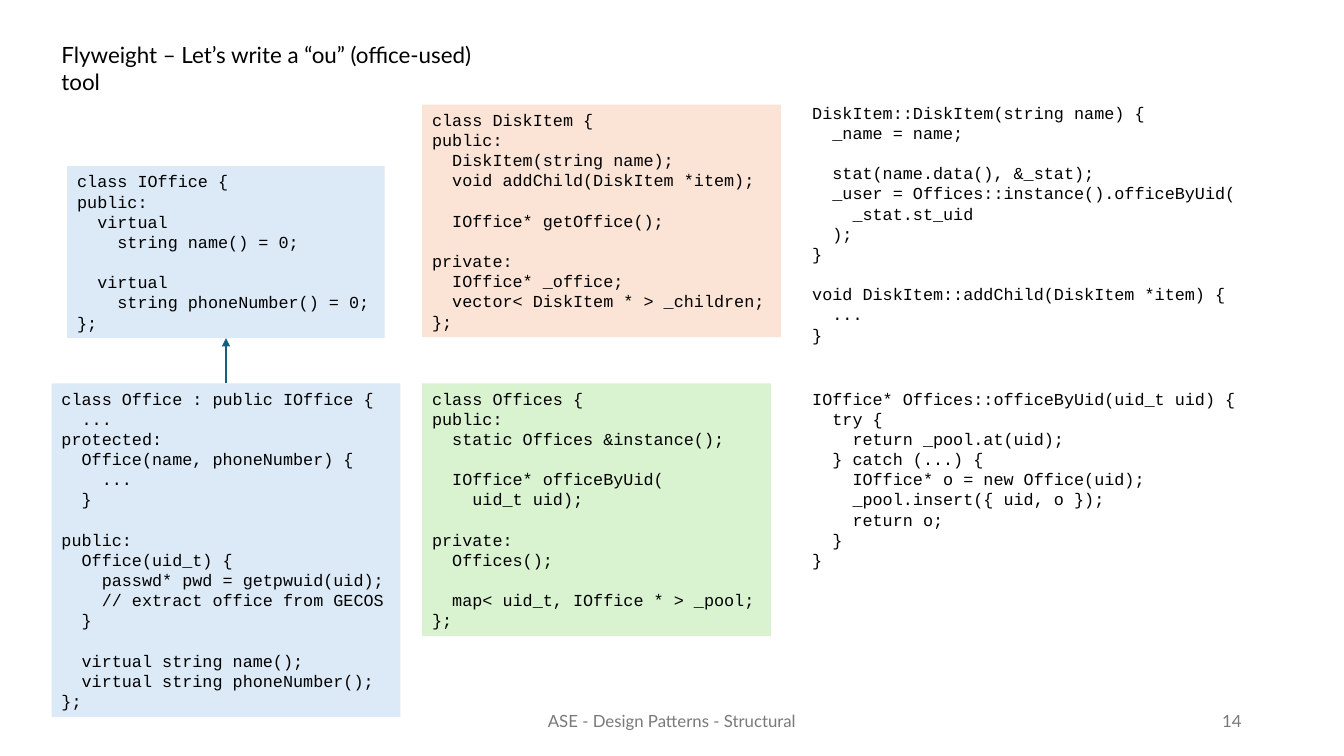
from lxml import etree
from pptx import Presentation
from pptx.dml.color import RGBColor
from pptx.enum import shapes, text
from pptx.oxml import ns
from pptx.util import Cm, Pt

# Content
TITLE = "Flyweight – Let’s write a “ou” (office-used) tool"
FOOTER = "ASE - Design Patterns - Structural"
PAGE_NUMBER = "14"

IOFFICE = """class IOffice {
public:
  virtual
    string name() = 0;

  virtual
    string phoneNumber() = 0;
};"""

OFFICE = """class Office : public IOffice {
  ...
protected:
  Office(name, phoneNumber) {
    ...
  }

public:
  Office(uid_t) {
    passwd* pwd = getpwuid(uid);
    // extract office from GECOS
  }

  virtual string name();
  virtual string phoneNumber();
};"""

DISK_ITEM = """class DiskItem {
public:
  DiskItem(string name);
  void addChild(DiskItem *item);

  IOffice* getOffice();

private:
  IOffice* _office;
  vector< DiskItem * > _children;
};"""

OFFICES = """class Offices {
public:
  static Offices &instance();

  IOffice* officeByUid(
    uid_t uid);

private:
  Offices();

  map< uid_t, IOffice * > _pool;
};"""

DISK_ITEM_METHODS = """DiskItem::DiskItem(string name) {
  _name = name;

  stat(name.data(), &_stat);
  _user = Offices::instance().officeByUid(
    _stat.st_uid
  );
}

void DiskItem::addChild(DiskItem *item) {
  ...
}"""

OFFICES_METHODS = """IOffice* Offices::officeByUid(uid_t uid) {
  try {
    return _pool.at(uid);
  } catch (...) {
    IOffice* o = new Office(uid);
    _pool.insert({ uid, o });
    return o;
  }
}"""


class Theme:
    sans, mono = "Lato", "Courier New"
    title_size, code_size, footer_size = 16, 12, 12
    code_line = 14.4
    black, grey, arrow = "000000", "797979", "156082"
    blue, orange, green = "DCEAF7", "FBE3D6", "D9F2D0"


# Layout in centimetres
LEFT, MIDDLE, RIGHT = 1.3, 10.64, 20.22
LOWER_TOP = 9.66
LINE_HEIGHT, PADDING = 0.51, 0.25
OFFICE_WIDTH, IOFFICE_WIDTH = 8.79, 8.0
CENTRE = LEFT + OFFICE_WIDTH / 2
IOFFICE_TOP = 4.19

# Code, left, top, width, fill
CODE_BLOCKS = [
    (DISK_ITEM, MIDDLE, 2.64, 9.04, Theme.orange),
    (OFFICES, MIDDLE, LOWER_TOP, OFFICE_WIDTH, Theme.green),
    (OFFICE, LEFT, LOWER_TOP, OFFICE_WIDTH, Theme.blue),
    (DISK_ITEM_METHODS, RIGHT, 2.46, 11.35, None),
    (OFFICES_METHODS, RIGHT, LOWER_TOP, 11.35, None),
    (IOFFICE, CENTRE - IOFFICE_WIDTH / 2, IOFFICE_TOP, IOFFICE_WIDTH, Theme.blue),
]


def block_height(code, spare_lines=0):
    return (len(code.split("\n")) + spare_lines) * LINE_HEIGHT + PADDING


def write(shape, content, font, size, color, align=text.PP_ALIGN.LEFT,
          anchor=text.MSO_ANCHOR.TOP, line_spacing=None):
    frame = shape.text_frame
    frame.word_wrap = True
    frame.vertical_anchor = anchor
    for index, line in enumerate(content.split("\n")):
        paragraph = frame.add_paragraph() if index else frame.paragraphs[0]
        paragraph.alignment = align
        if line_spacing:
            paragraph.line_spacing = Pt(line_spacing)
        if line:
            run = paragraph.add_run()
            run.text = line
            run.font.name = font
            run.font.size = Pt(size)
            run.font.color.rgb = RGBColor.from_string(color)


def add_code(slide, code, left, top, width, fill):
    if fill:
        box = Cm(left), Cm(top), Cm(width), Cm(block_height(code))
        shape = slide.shapes.add_shape(shapes.MSO_SHAPE.RECTANGLE, *box)
        shape.shadow.inherit = False
        shape.fill.solid()
        shape.fill.fore_color.rgb = RGBColor.from_string(fill)
        shape.line.fill.background()
    else:
        box = Cm(left), Cm(top), Cm(width), Cm(block_height(code, spare_lines=1))
        shape = slide.shapes.add_textbox(*box)
    write(shape, code, Theme.mono, Theme.code_size, Theme.black,
          line_spacing=Theme.code_line)


def add_inheritance_arrow(slide, x, start, end):
    connector = slide.shapes.add_connector(
        shapes.MSO_CONNECTOR.STRAIGHT, Cm(x), Cm(start), Cm(x), Cm(end))
    connector.line.color.rgb = RGBColor.from_string(Theme.arrow)
    connector.line.width = Pt(1.5)
    line = connector.line._get_or_add_ln()
    etree.SubElement(line, ns.qn("a:tailEnd"), type="triangle")
    etree.SubElement(connector._element.spPr, ns.qn("a:effectLst"))


def main():
    presentation = Presentation()
    presentation.slide_width, presentation.slide_height = Cm(33.87), Cm(19.05)
    slide = presentation.slides.add_slide(presentation.slide_layouts[6])

    # Footer and page number
    for content, left, width, align in (
            (FOOTER, 11.22, 11.43, text.PP_ALIGN.CENTER),
            (PAGE_NUMBER, 23.92, 7.62, text.PP_ALIGN.RIGHT)):
        box = slide.shapes.add_textbox(Cm(left), Cm(17.66), Cm(width), Cm(1.01))
        write(box, content, Theme.sans, Theme.footer_size, Theme.grey,
              align, text.MSO_ANCHOR.MIDDLE)

    # Title
    title = slide.shapes.add_textbox(Cm(LEFT), Cm(0.91), Cm(11.79), Cm(0.94))
    write(title, TITLE, Theme.sans, Theme.title_size, Theme.black)

    # Code and the arrow from Office to IOffice
    for block in CODE_BLOCKS:
        add_code(slide, *block)
    add_inheritance_arrow(slide, CENTRE, LOWER_TOP,
                          IOFFICE_TOP + block_height(IOFFICE))

    presentation.save("out.pptx")


if __name__ == "__main__":
    main()
